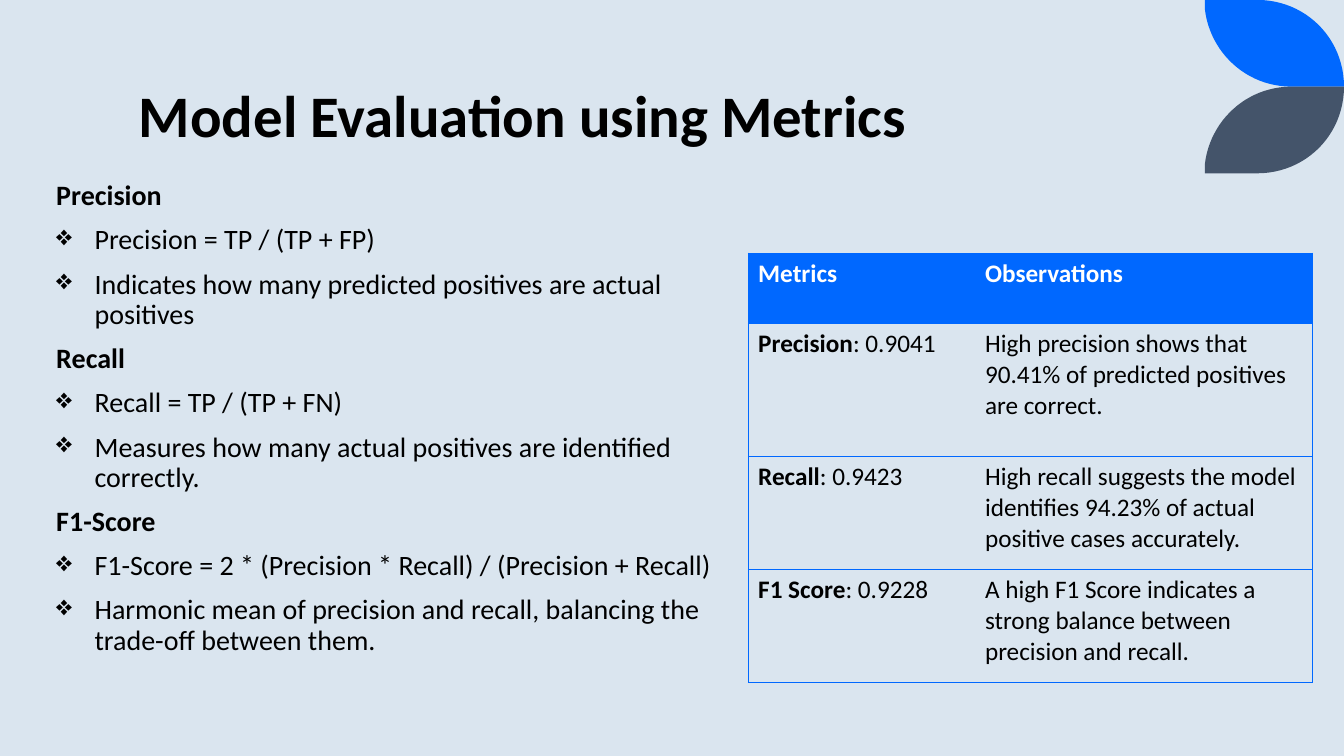
from lxml import etree
from pptx import Presentation
from pptx.dml.color import RGBColor
from pptx.enum.text import MSO_ANCHOR
from pptx.oxml.ns import qn
from pptx.util import Inches, Pt

BOTTOM, TOP = MSO_ANCHOR.BOTTOM, MSO_ANCHOR.TOP
FONT = "Calibri"
BACKGROUND, BLUE, SLATE = "DAE5EF", "0068FF", "44546A"
BLACK, WHITE = "000000", "FFFFFF"

TITLE = "Model Evaluation using Metrics"
DEFINITIONS = [
    ("Precision", ["Precision = TP / (TP + FP)",
                   "Indicates how many predicted positives are actual positives"]),
    ("Recall", ["Recall = TP / (TP + FN)",
                "Measures how many actual positives are identified correctly."]),
    ("F1-Score", ["F1-Score = 2 * (Precision * Recall) / (Precision + Recall)",
                  "Harmonic mean of precision and recall, balancing the "
                  "trade-off between them."]),
]
HEADINGS = ("Metrics", "Observations")
RESULTS = [
    ("Precision", ": 0.9041",
     "High precision shows that 90.41% of predicted positives are correct."),
    ("Recall", ": 0.9423",
     "High recall suggests the model identifies 94.23% of actual positive cases accurately."),
    ("F1 Score", ": 0.9228",
     "A high F1 Score indicates a strong balance between precision and recall."),
]
COLUMN_WIDTHS = (2.25, 3.35)
ROW_HEIGHTS = (0.7, 1.32, 1.12, 1.12)

# Upper leaf: two Bezier curves, joined by straight edges
LEAF_CURVES = [
    [(12.47, 0), (12.95, 0), (13.33, 0.38), (13.33, 0.86)],
    [(12.81, 0.86), (12.36, 0.86), (12, 0.52), (11.95, 0.09)],
]
LEAF_CORNER = (11.95, 0)
LEAF_HEIGHT = 0.86
CURVE_STEPS = 24


def rgb(color):
    return RGBColor.from_string(color)


def add_run(paragraph, text, size, color=BLACK, bold=False):
    run = paragraph.add_run()
    run.text = text
    run.font.name, run.font.size, run.font.bold = FONT, Pt(size), bold
    run.font.color.rgb = rgb(color)


def add_text_frame(left, top, width, height, anchor):
    box = slide.shapes.add_textbox(*map(Inches, (left, top, width, height)))
    frame = box.text_frame
    frame.word_wrap = True
    frame.vertical_anchor = anchor
    return frame


def set_bullet(paragraph, symbol="❖", indent=0.38):
    props = paragraph._p.get_or_add_pPr()
    props.set("marL", str(Inches(indent)))
    props.set("indent", str(-Inches(indent)))
    etree.SubElement(props, qn("a:buChar")).set("char", symbol)


def set_borders(cell, visible):
    """Draw a thin blue line on the visible sides and none on the others."""
    props = cell._tc.get_or_add_tcPr()
    for side in "LRTB":
        line = etree.SubElement(props, qn(f"a:ln{side}"), w=str(Pt(0.5)))
        if side in visible:
            fill = etree.SubElement(line, qn("a:solidFill"))
            etree.SubElement(fill, qn("a:srgbClr"), val=BLUE)
        else:
            etree.SubElement(line, qn("a:noFill"))


def bezier_points(controls):
    for step in range(CURVE_STEPS + 1):
        t = step / CURVE_STEPS
        weights = ((1 - t) ** 3, 3 * t * (1 - t) ** 2, 3 * t * t * (1 - t), t ** 3)
        yield tuple(sum(w * point[axis] for w, point in zip(weights, controls))
                    for axis in (0, 1))


def add_leaf(color, mirrored):
    def place(point):
        x, y = point
        return Inches(x), Inches(2 * LEAF_HEIGHT - y if mirrored else y)

    outline = [place(p) for curve in LEAF_CURVES for p in bezier_points(curve)]
    builder = slide.shapes.build_freeform(*place(LEAF_CORNER))
    builder.add_line_segments(outline, close=True)
    leaf = builder.convert_to_shape()
    leaf.shadow.inherit = False
    leaf.fill.solid()
    leaf.fill.fore_color.rgb = rgb(color)
    leaf.line.fill.background()


def add_definitions():
    frame = add_text_frame(0.46, 1.75, 6.96, 5.6, TOP)
    lines = []
    for term, points in DEFINITIONS:
        lines += [(term, True)] + [(point, False) for point in points]
    for index, (text, is_term) in enumerate(lines):
        paragraph = frame.add_paragraph() if index else frame.paragraphs[0]
        paragraph.line_spacing = 0.9
        paragraph.space_before = Pt(10)
        if not is_term:
            set_bullet(paragraph)
        add_run(paragraph, text, 20, bold=is_term)


def add_results():
    table = slide.shapes.add_table(
        len(ROW_HEIGHTS), len(COLUMN_WIDTHS), Inches(7.42), Inches(2.51),
        Inches(sum(COLUMN_WIDTHS)), Inches(sum(ROW_HEIGHTS))).table
    table.horz_banding = False
    for column, width in zip(table.columns, COLUMN_WIDTHS):
        column.width = Inches(width)
    for row, height in zip(table.rows, ROW_HEIGHTS):
        row.height = Inches(height)

    rows = [[[(heading, WHITE, True)] for heading in HEADINGS]]
    for metric, value, observation in RESULTS:
        rows.append([[(metric, BLACK, True), (value, BLACK, False)],
                     [(observation, BLACK, False)]])
    for r, row in enumerate(rows):
        for c, runs in enumerate(row):
            cell = table.cell(r, c)
            set_borders(cell, "TB" + "LR"[c])
            if r == 0:
                cell.fill.solid()
                cell.fill.fore_color.rgb = rgb(BLUE)
            else:
                cell.fill.background()
            for text, color, bold in runs:
                add_run(cell.text_frame.paragraphs[0], text, 18, color, bold)


presentation = Presentation()
presentation.slide_width, presentation.slide_height = Inches(13.33), Inches(7.5)
slide = presentation.slides.add_slide(presentation.slide_layouts[6])
slide.background.fill.solid()
slide.background.fill.fore_color.rgb = rgb(BACKGROUND)

add_leaf(BLUE, mirrored=False)
add_leaf(SLATE, mirrored=True)
title = add_text_frame(1.28, 0.5, 10.6, 1.03, BOTTOM).paragraphs[0]
title.line_spacing = 0.8
add_run(title, TITLE, 42, bold=True)
add_definitions()
add_results()
presentation.save("out.pptx")
